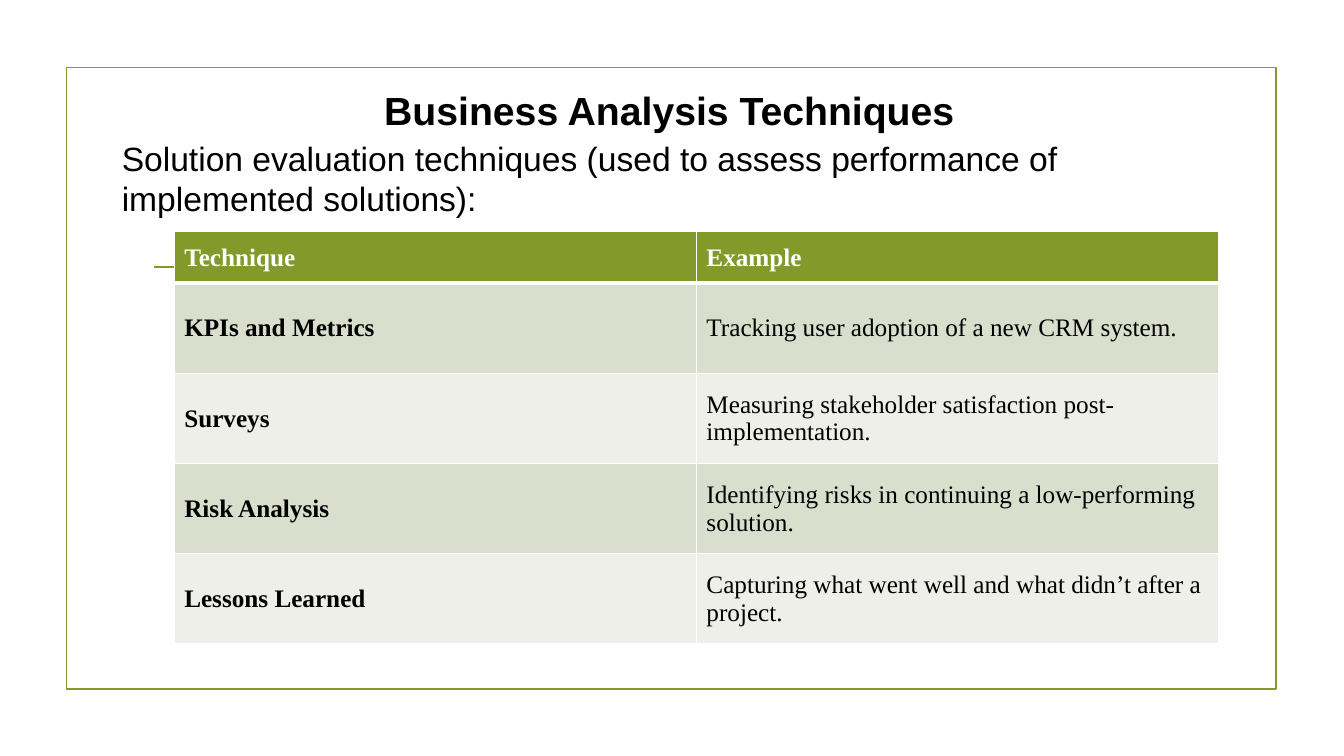
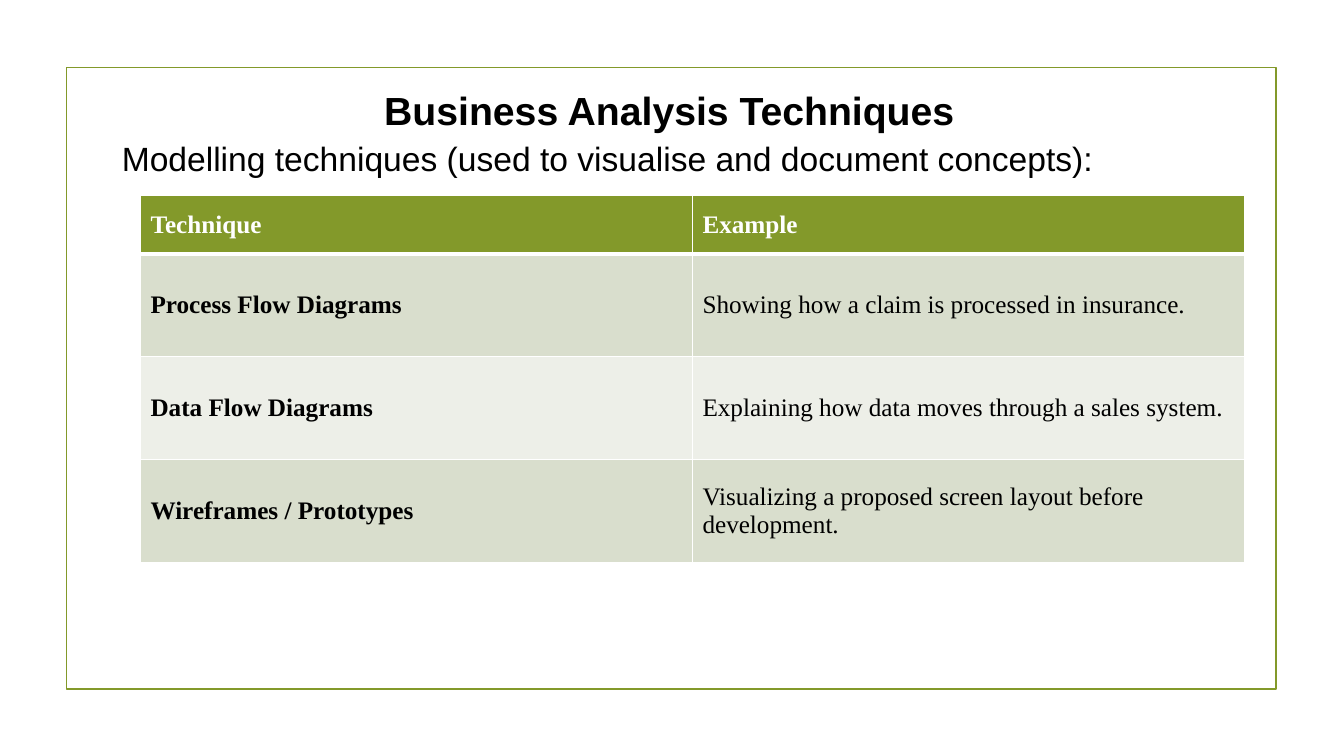
import dataclasses

import lxml.etree
import pptx
import pptx.dml.color
import pptx.enum.shapes
import pptx.enum.text
import pptx.oxml.ns
import pptx.util

Cm = pptx.util.Cm
Pt = pptx.util.Pt


@dataclasses.dataclass(frozen=True)
class Theme:
    """Colours, fonts and type sizes shared by the slides."""

    green: str = "83992A"
    bands: tuple = ("D9DECD", "EDEFE8")
    white: str = "FFFFFF"
    black: str = "000000"
    heading_font: str = "Arial"
    table_font: str = "Times New Roman"
    title_size: int = 28
    intro_size: int = 24
    cell_size: int = 18
    line_width: float = 1.25
    grid_width: int = 1
    header_rule: int = 3


THEME = Theme()
TITLE = "Business Analysis Techniques"
HEADER = ("Technique", "Example")

SLIDES = (
    {
        "intro": "Solution evaluation techniques (used to assess performance of implemented solutions):",
        "corner": (4.39, 5.84),
        "column_width": 13.16,
        "header_height": 1.3,
        "row_height": 2.27,
        "rows": (
            ("KPIs and Metrics", "Tracking user adoption of a new CRM system."),
            ("Surveys", "Measuring stakeholder satisfaction post-implementation."),
            ("Risk Analysis", "Identifying risks in continuing a low-performing solution."),
            ("Lessons Learned", "Capturing what went well and what didn’t after a project."),
        ),
    },
    {
        "intro": "Modelling techniques (used to visualise and document concepts):",
        "corner": (3.54, 4.93),
        "column_width": 13.91,
        "header_height": 1.47,
        "row_height": 2.59,
        "rows": (
            ("Process Flow Diagrams", "Showing how a claim is processed in insurance."),
            ("Data Flow Diagrams", "Explaining how data moves through a sales system."),
            ("Wireframes / Prototypes", "Visualizing a proposed screen layout before development."),
        ),
    },
)


def rgb(colour):
    """Return the colour object for a hex string."""
    return pptx.dml.color.RGBColor.from_string(colour)


def style_text(frame, font, size, colour, bold=False):
    """Format every run of a text frame."""
    for para in frame.paragraphs:
        for span in para.runs:
            span.font.name = font
            span.font.size = Pt(size)
            span.font.bold = bold
            span.font.color.rgb = rgb(colour)


def add_text(page, area, text, size, bold=False):
    """Add a wrapped heading text box and return its frame."""
    box = page.shapes.add_textbox(*map(Cm, area))
    frame = box.text_frame
    frame.word_wrap = True
    frame.text = text
    style_text(frame, THEME.heading_font, size, THEME.black, bold)
    return frame


def add_frame(page):
    """Draw the green border and divider shared by the slides."""
    border = page.shapes.add_shape(
        pptx.enum.shapes.MSO_SHAPE.RECTANGLE, Cm(1.68), Cm(1.7), Cm(30.48), Cm(15.67)
    )
    border.shadow.inherit = False
    border.fill.background()
    divider = page.shapes.add_connector(
        pptx.enum.shapes.MSO_CONNECTOR.STRAIGHT, Cm(3.89), Cm(6.73), Cm(30), Cm(6.73)
    )
    for outline in (border.line, divider.line):
        outline.color.rgb = rgb(THEME.green)
        outline.width = Pt(THEME.line_width)
    lxml.etree.SubElement(divider.element.spPr, pptx.oxml.ns.qn("a:effectLst"))


def add_title(page):
    """Add the centred slide title."""
    frame = add_text(page, (1.83, 2.11, 30.07, 1.3), TITLE, THEME.title_size, True)
    frame.vertical_anchor = pptx.enum.text.MSO_ANCHOR.MIDDLE
    frame.paragraphs[0].alignment = pptx.enum.text.PP_ALIGN.CENTER


def set_borders(cell, top, bottom):
    """Give a cell white borders with the given top and bottom widths."""
    qn = pptx.oxml.ns.qn
    properties = cell._tc.get_or_add_tcPr()
    side = THEME.grid_width
    for tag, width in (("lnL", side), ("lnR", side), ("lnT", top), ("lnB", bottom)):
        edge = lxml.etree.SubElement(properties, qn(f"a:{tag}"), w=str(Pt(width)))
        fill = lxml.etree.SubElement(edge, qn("a:solidFill"))
        lxml.etree.SubElement(fill, qn("a:srgbClr"), val=THEME.white)


def fill_cell(cell, text, row, column):
    """Write and style one table cell according to its position."""
    is_header = row == 0
    set_borders(
        cell,
        top=THEME.header_rule if row == 1 else THEME.grid_width,
        bottom=THEME.header_rule if is_header else THEME.grid_width,
    )
    cell.fill.solid()
    cell.fill.fore_color.rgb = rgb(THEME.green if is_header else THEME.bands[(row - 1) % 2])
    cell.vertical_anchor = pptx.enum.text.MSO_ANCHOR.MIDDLE
    cell.text_frame.text = text
    colour = THEME.white if is_header else THEME.black
    style_text(cell.text_frame, THEME.table_font, THEME.cell_size, colour, is_header or column == 0)


def add_technique_table(page, content):
    """Add the two-column table of techniques and examples."""
    rows = (HEADER, *content["rows"])
    heights = [content["header_height"]] + [content["row_height"]] * len(content["rows"])
    width = content["column_width"]
    area = (*content["corner"], width * len(HEADER), sum(heights))
    table = page.shapes.add_table(len(rows), len(HEADER), *map(Cm, area)).table
    for column in table.columns:
        column.width = Cm(width)
    for row, (texts, height) in enumerate(zip(rows, heights)):
        table.rows[row].height = Cm(height)
        for column, text in enumerate(texts):
            fill_cell(table.cell(row, column), text, row, column)


def add_page(deck, content):
    """Build one slide from its content."""
    page = deck.slides.add_slide(deck.slide_layouts[6])
    add_frame(page)
    add_title(page)
    add_text(page, (2.82, 3.35, 27.66, 2.3), content["intro"], THEME.intro_size)
    add_technique_table(page, content)


def main():
    """Build and save the deck."""
    deck = pptx.Presentation()
    deck.slide_width = Cm(33.87)
    deck.slide_height = Cm(19.05)
    for content in SLIDES:
        add_page(deck, content)
    deck.save("out.pptx")


if __name__ == "__main__":
    main()
